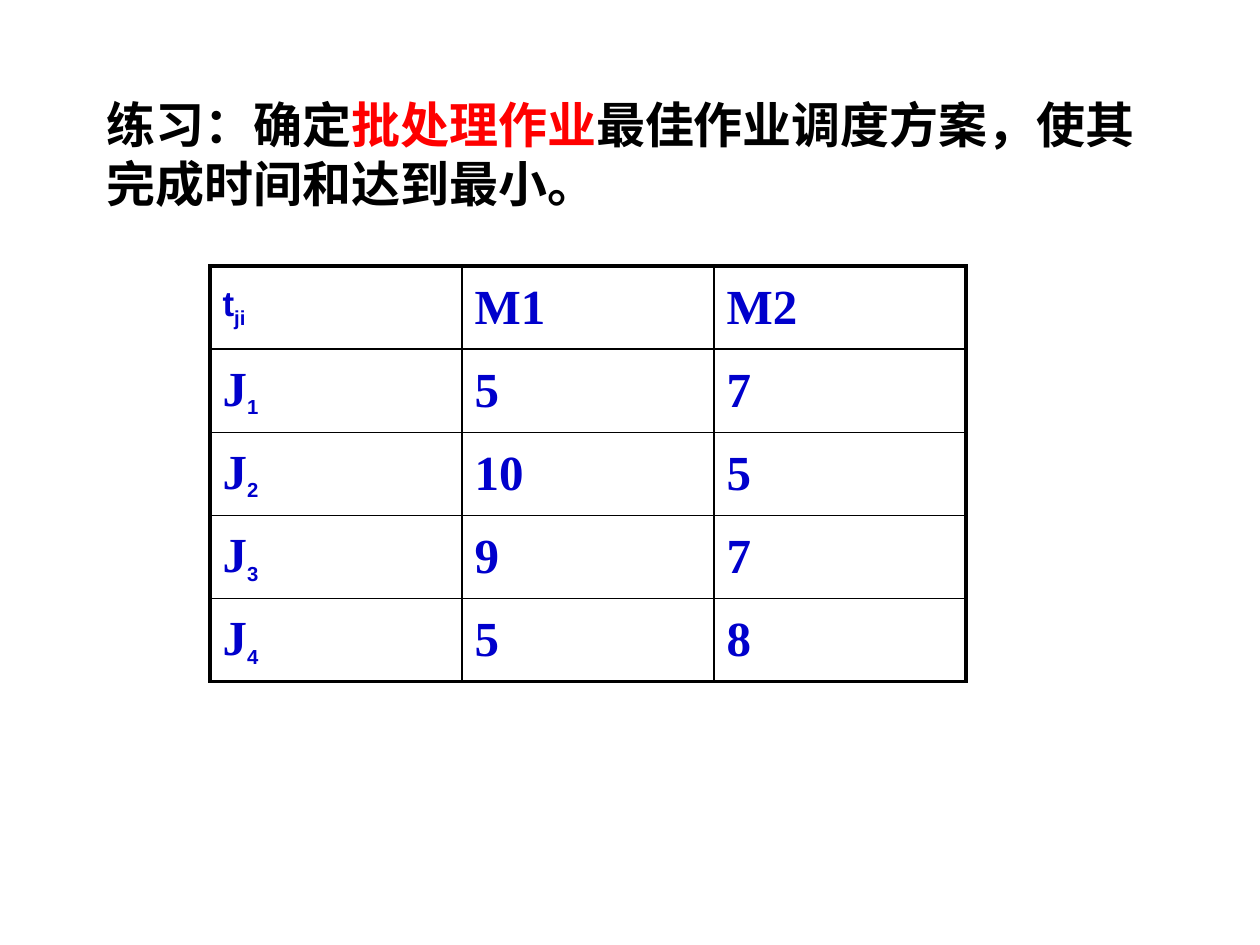
from dataclasses import dataclass

from lxml.etree import SubElement
from pptx import Presentation
from pptx.dml.color import RGBColor
from pptx.enum.text import MSO_ANCHOR
from pptx.oxml.ns import qn
from pptx.slide import Slide
from pptx.table import _Cell
from pptx.text.text import _Paragraph
from pptx.util import Pt

COLORS = {"text": "000000", "accent": "FF0000", "table": "0000CC", "border": "000000"}
CHINESE_FONT = "Noto Sans CJK SC"
SERIF = "Times New Roman"
SANS = "Arial"
ROW_HEIGHT = 47.52
COLUMN_WIDTH = 144
OUTER_BORDER, INNER_BORDER = 2.25, 1


@dataclass
class TextRun:
    text: str
    font: str = SERIF
    size: float = 28
    color: str = "table"
    subscript: bool = False


def subscript(text: str) -> TextRun:
    return TextRun(text, SANS, 20, subscript=True)


TITLE = [
    TextRun("练习：确定", CHINESE_FONT, color="text"),
    TextRun("批处理作业", SERIF, color="accent"),
    TextRun("最佳作业调度方案，使其完成时间和达到最小。", CHINESE_FONT, color="text"),
]

# Processing times of each job on the two machines
JOB_TIMES = [("5", "7"), ("10", "5"), ("9", "7"), ("5", "8")]
HEADER = [[TextRun("t", SANS, 20), subscript("ji")], [TextRun("M1")], [TextRun("M2")]]
ROWS = [HEADER] + [
    [[TextRun("J"), subscript(str(job))]] + [[TextRun(time)] for time in times]
    for job, times in enumerate(JOB_TIMES, start=1)
]


def write_runs(paragraph: _Paragraph, text_runs: list[TextRun]) -> None:
    for text_run in text_runs:
        run = paragraph.add_run()
        run.text = text_run.text
        run.font.name = text_run.font
        run.font.size = Pt(text_run.size)
        run.font.bold = True
        run.font.color.rgb = RGBColor.from_string(COLORS[text_run.color])
        properties = run.font._element
        latin = properties.find(qn("a:latin"))
        east_asian = properties.makeelement(qn("a:ea"), {"typeface": CHINESE_FONT})
        latin.addnext(east_asian)
        if text_run.subscript:
            properties.set("baseline", "-25000")


def set_borders(cell: _Cell, widths: dict[str, float]) -> None:
    properties = cell._tc.get_or_add_tcPr()
    for position, (side, width) in enumerate(widths.items()):
        line = properties.makeelement(qn(f"a:{side}"), {"w": str(Pt(width))})
        fill = SubElement(line, qn("a:solidFill"))
        SubElement(fill, qn("a:srgbClr"), val=COLORS["border"])
        properties.insert(position, line)


def add_title(slide: Slide) -> None:
    box = slide.shapes.add_textbox(Pt(54), Pt(48), Pt(612), Pt(84))
    text_frame = box.text_frame
    text_frame.word_wrap = True
    text_frame.margin_top = Pt(6)
    paragraph = text_frame.paragraphs[0]
    paragraph.line_spacing = Pt(33.7)
    write_runs(paragraph, TITLE)


def add_times_table(slide: Slide) -> None:
    row_count, column_count = len(ROWS), len(HEADER)
    frame = slide.shapes.add_table(
        row_count, column_count, Pt(120), Pt(152),
        Pt(COLUMN_WIDTH * column_count), Pt(ROW_HEIGHT * row_count),
    )
    table = frame.table
    table.first_row = table.horz_banding = False
    for row in table.rows:
        row.height = Pt(ROW_HEIGHT)

    def border(is_outer: bool) -> float:
        return OUTER_BORDER if is_outer else INNER_BORDER

    for row_index, row_runs in enumerate(ROWS):
        for column_index, cell_runs in enumerate(row_runs):
            cell = table.cell(row_index, column_index)
            cell.vertical_anchor = MSO_ANCHOR.MIDDLE
            cell.fill.background()
            write_runs(cell.text_frame.paragraphs[0], cell_runs)
            set_borders(cell, {
                "lnL": border(column_index == 0),
                "lnR": border(column_index == column_count - 1),
                "lnT": border(row_index == 0),
                "lnB": border(row_index == row_count - 1),
            })


def main() -> None:
    presentation = Presentation()
    presentation.slide_width, presentation.slide_height = Pt(720), Pt(540)
    slide = presentation.slides.add_slide(presentation.slide_layouts[6])
    add_title(slide)
    add_times_table(slide)
    presentation.save("out.pptx")


if __name__ == "__main__":
    main()
